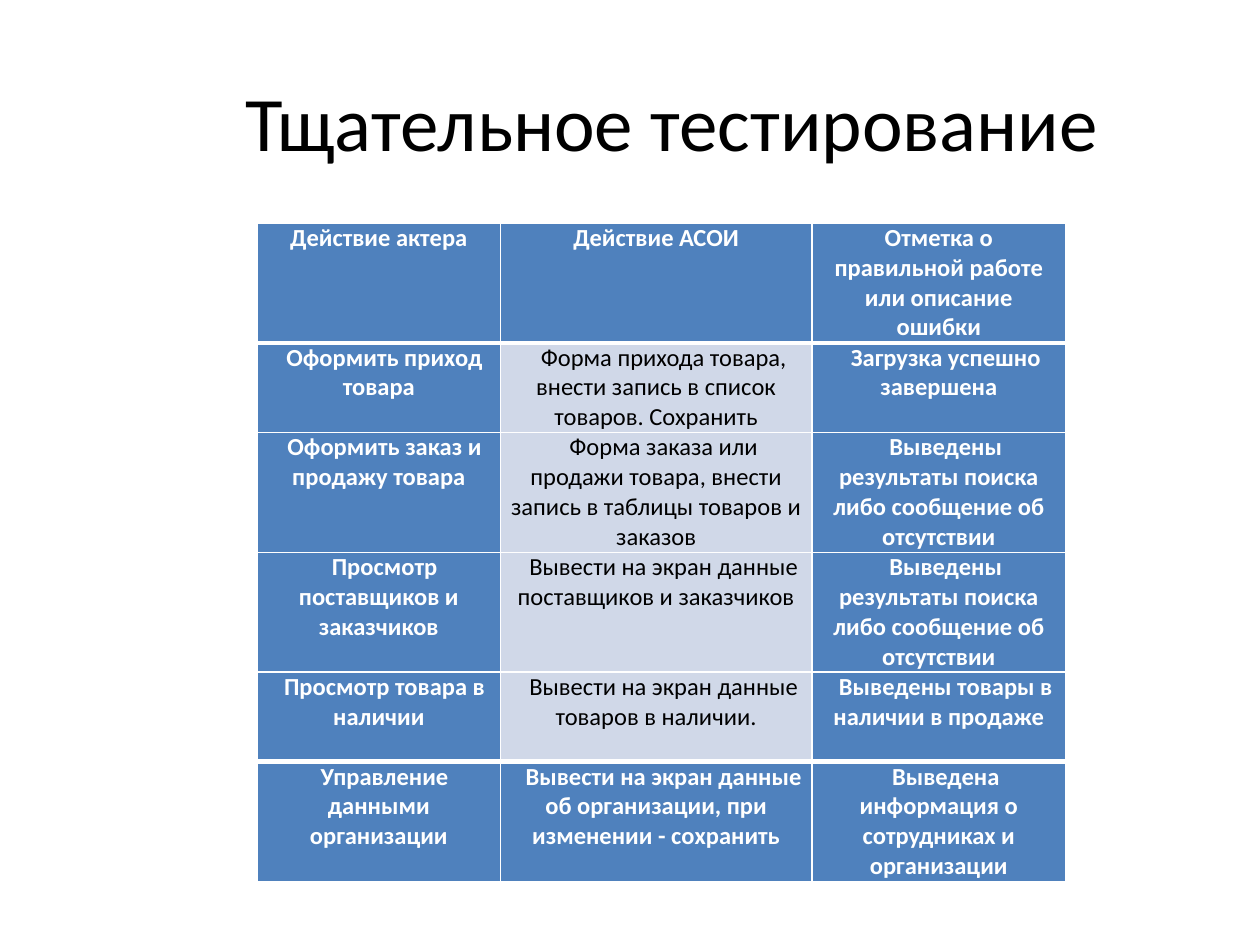
from lxml import etree
from pptx import Presentation
from pptx.dml.color import RGBColor
from pptx.enum.text import MSO_ANCHOR, PP_ALIGN
from pptx.oxml.ns import qn
from pptx.util import Pt

CENTER = PP_ALIGN.CENTER
MIDDLE = MSO_ANCHOR.MIDDLE
FONT = "Calibri"
BLUE, PALE, WHITE, BLACK = "4F81BD", "D0D8E8", "FFFFFF", "000000"


def style_paragraph(paragraph, size, color, bold=False):
    paragraph.alignment = CENTER
    for run in paragraph.runs:
        run.font.name = FONT
        run.font.size = Pt(size)
        run.font.bold = bold
        run.font.color.rgb = RGBColor.from_string(color)


def add_border(cell, side, width):
    line = etree.SubElement(cell._tc.get_or_add_tcPr(), qn(f"a:ln{side}"), w=str(Pt(width)))
    fill = etree.SubElement(line, qn("a:solidFill"))
    etree.SubElement(fill, qn("a:srgbClr"), val=WHITE)


prs = Presentation()
prs.slide_width, prs.slide_height = Pt(720), Pt(540)
slide = prs.slides.add_slide(prs.slide_layouts[6])

# Title
title = slide.shapes.add_textbox(Pt(66), Pt(24), Pt(636), Pt(90)).text_frame
title.word_wrap = True
title.vertical_anchor = MIDDLE
title.text = "Тщательное тестирование"
style_paragraph(title.paragraphs[0], 44, BLACK)

# Test checklist: actor's action, system's action, result
checks = [
    ("Действие актера", "Действие АСОИ", "Отметка о правильной работе или описание ошибки"),
    ("Оформить приход товара",
     "Форма прихода товара, внести запись в список товаров. Сохранить",
     "Загрузка успешно завершена"),
    ("Оформить заказ и продажу товара",
     "Форма заказа или продажи товара, внести запись в таблицы товаров и заказов",
     "Выведены результаты поиска либо сообщение об отсутствии"),
    ("Просмотр поставщиков и заказчиков",
     "Вывести на экран данные поставщиков и заказчиков",
     "Выведены результаты поиска либо сообщение об отсутствии"),
    ("Просмотр товара в наличии",
     "Вывести на экран данные товаров в наличии.",
     "Выведены товары в наличии в продаже"),
    ("Управление данными организации",
     "Вывести на экран данные об организации, при изменении - сохранить",
     "Выведена информация о сотрудниках и организации"),
]
column_widths = [139, 178, 145]
first_line_indents = [6.5, 8.6, 7.9]
line_height = 17.1
row_lines = [4, 3, 4, 4, 3, 4]
last = len(checks) - 1

checklist = slide.shapes.add_table(
    len(checks), len(column_widths), Pt(147), Pt(127.5),
    Pt(sum(column_widths)), Pt(line_height * sum(row_lines))).table
for column, width in zip(checklist.columns, column_widths):
    column.width = Pt(width)
for row, lines in zip(checklist.rows, row_lines):
    row.height = Pt(line_height * lines)

for r, check in enumerate(checks):
    for c, wording in enumerate(check):
        cell = checklist.cell(r, c)
        cell.margin_left = cell.margin_right = Pt(5)
        cell.margin_top = cell.margin_bottom = 0

        # Thick rules below the header and above the last row
        add_border(cell, "L", 1)
        add_border(cell, "R", 1)
        add_border(cell, "T", 3 if r in (1, last) else 1)
        add_border(cell, "B", 3 if r in (0, last - 1) else 1)

        plain = c == 1 and 0 < r < last
        cell.fill.solid()
        cell.fill.fore_color.rgb = RGBColor.from_string(PALE if plain else BLUE)

        cell.text_frame.text = wording
        paragraph = cell.text_frame.paragraphs[0]
        style_paragraph(paragraph, 14, BLACK if plain else WHITE, not plain)
        if r > 0:
            paragraph._p.get_or_add_pPr().set("indent", str(Pt(first_line_indents[c])))

prs.save("out.pptx")
